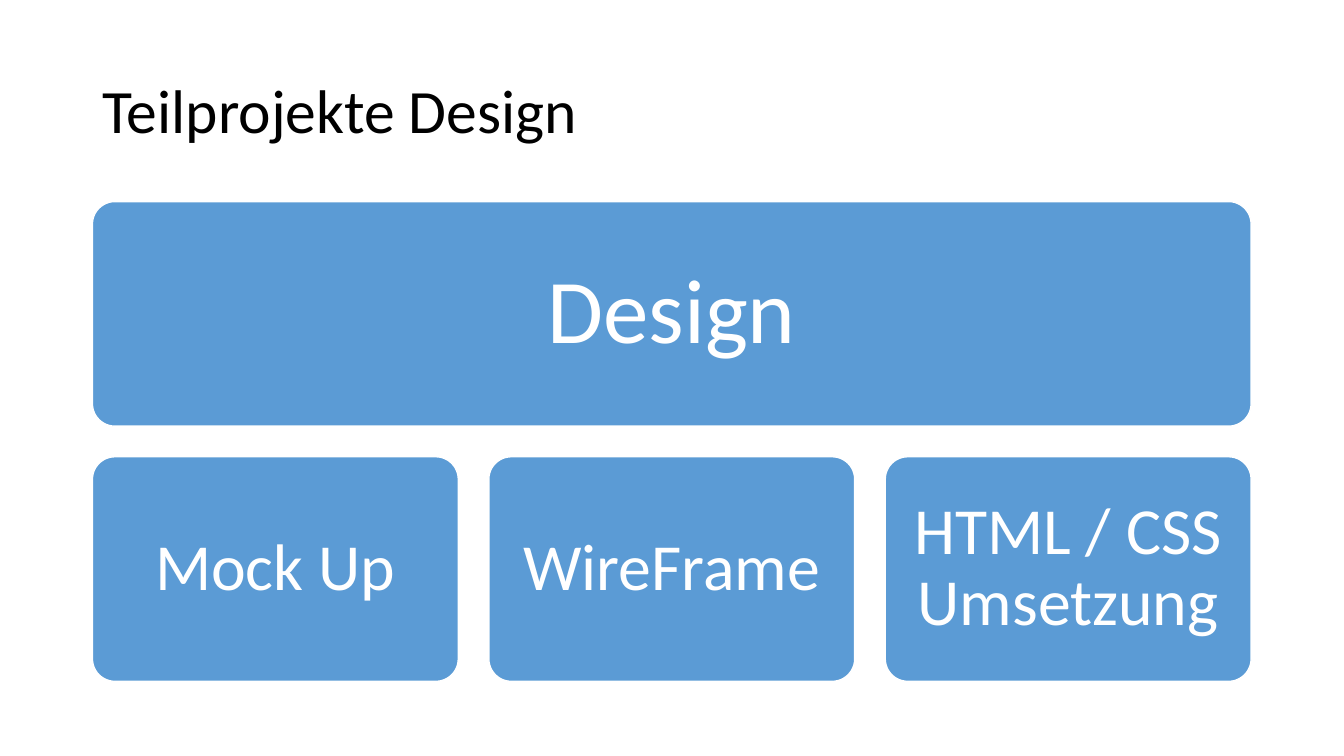
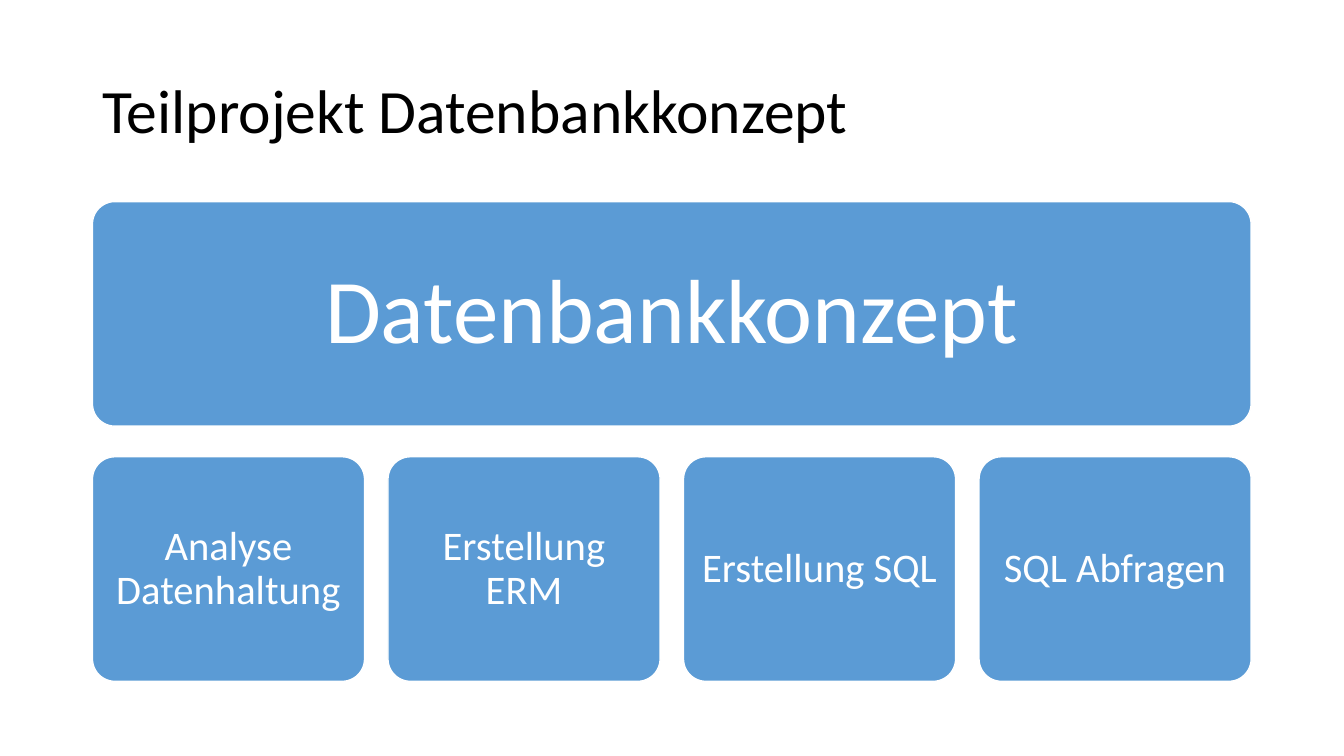
import pptx
import pptx.util
import pptx.dml.color
import pptx.enum.shapes
import pptx.enum.text

Cm = pptx.util.Cm
COLORS = {"box": "5B9BD5", "light": "FFFFFF", "title": "000000"}
FONT = "Calibri"

# Shared layout, in centimetres
LEFT, WIDTH = 2.33, 29.2
TOP, BOX_HEIGHT, ROW_GAP = 5.08, 5.66, 0.77

SLIDES = [
    {"title": "Teilprojekte Design", "project": "Design",
     "parts": ["Mock Up", "WireFrame", "HTML / CSS Umsetzung"],
     "size": 47, "margin": 0.5, "gap": 0.77},
    {"title": "Teilprojekt Datenbankkonzept", "project": "Datenbankkonzept",
     "parts": ["Analyse Datenhaltung", "Erstellung ERM", "Erstellung SQL", "SQL Abfragen"],
     "size": 29, "margin": 0.3, "gap": 0.59},
]


def write(shape, text, size, color, alignment, margin):
    frame = shape.text_frame
    frame.word_wrap = True
    frame.vertical_anchor = pptx.enum.text.MSO_ANCHOR.MIDDLE
    frame.margin_left = frame.margin_right = Cm(margin)
    frame.margin_top = frame.margin_bottom = Cm(margin)
    frame.text = text
    paragraph = frame.paragraphs[0]
    paragraph.alignment = alignment
    paragraph.line_spacing = 0.9
    font = paragraph.runs[0].font
    font.name = FONT
    font.size = pptx.util.Pt(size)
    font.color.rgb = pptx.dml.color.RGBColor.from_string(COLORS[color])


def add_box(slide, text, left, top, width, size, margin):
    box = slide.shapes.add_shape(pptx.enum.shapes.MSO_SHAPE.ROUNDED_RECTANGLE,
                                 Cm(left), Cm(top), Cm(width), Cm(BOX_HEIGHT))
    box.adjustments[0] = 0.1
    box.shadow.inherit = False
    box.fill.solid()
    box.fill.fore_color.rgb = pptx.dml.color.RGBColor.from_string(COLORS["box"])
    box.line.color.rgb = pptx.dml.color.RGBColor.from_string(COLORS["light"])
    box.line.width = pptx.util.Pt(1)
    write(box, text, size, "light", pptx.enum.text.PP_ALIGN.CENTER, margin)


presentation = pptx.Presentation()
presentation.slide_width = Cm(33.87)
presentation.slide_height = Cm(19.05)

for content in SLIDES:
    slide = presentation.slides.add_slide(presentation.slide_layouts[6])

    # Title
    title = slide.shapes.add_textbox(Cm(LEFT), Cm(1.01), Cm(WIDTH), Cm(3.68))
    write(title, content["title"], 44, "title", pptx.enum.text.PP_ALIGN.LEFT, 0.25)

    # Project across the full width
    add_box(slide, content["project"], LEFT, TOP, WIDTH, 65, 0.69)

    # Parts in equal columns below
    count = len(content["parts"])
    part_width = (WIDTH - (count - 1) * content["gap"]) / count
    for column, part in enumerate(content["parts"]):
        add_box(slide, part, LEFT + column * (part_width + content["gap"]),
                TOP + BOX_HEIGHT + ROW_GAP, part_width, content["size"], content["margin"])

presentation.save("out.pptx")
